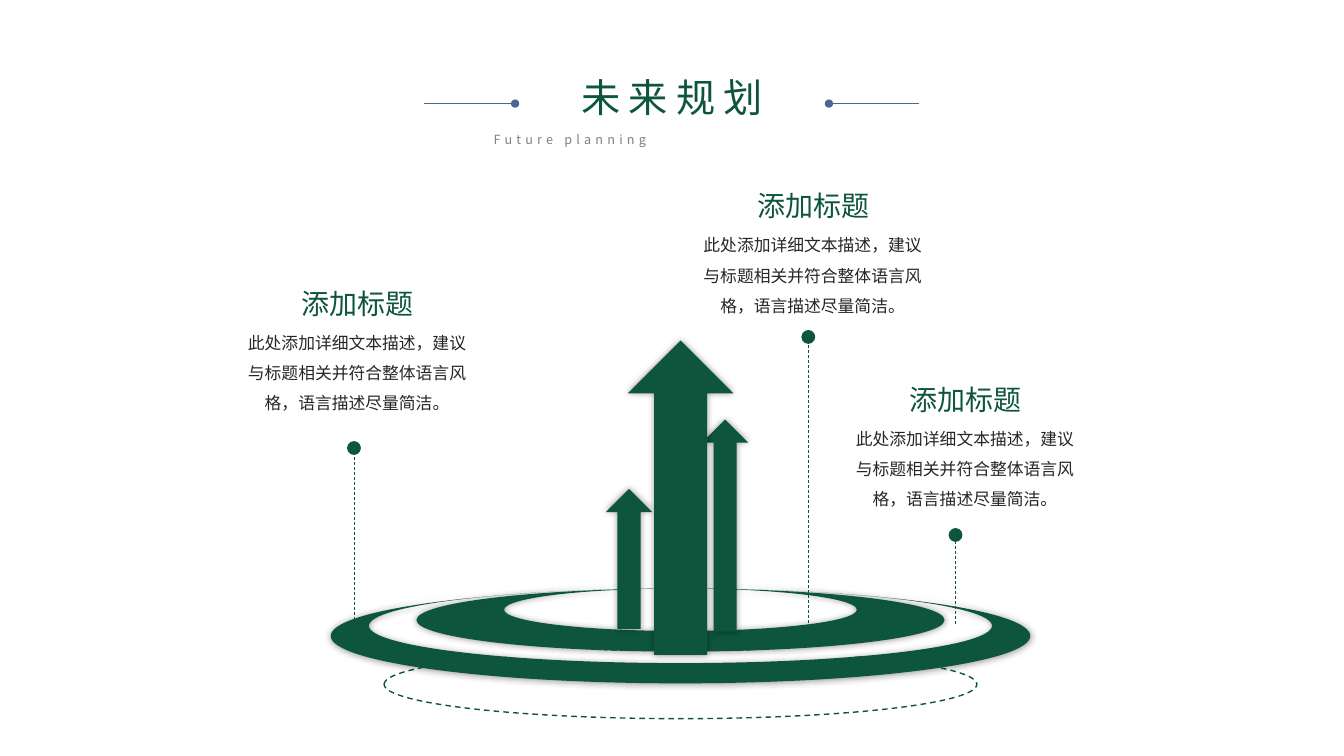
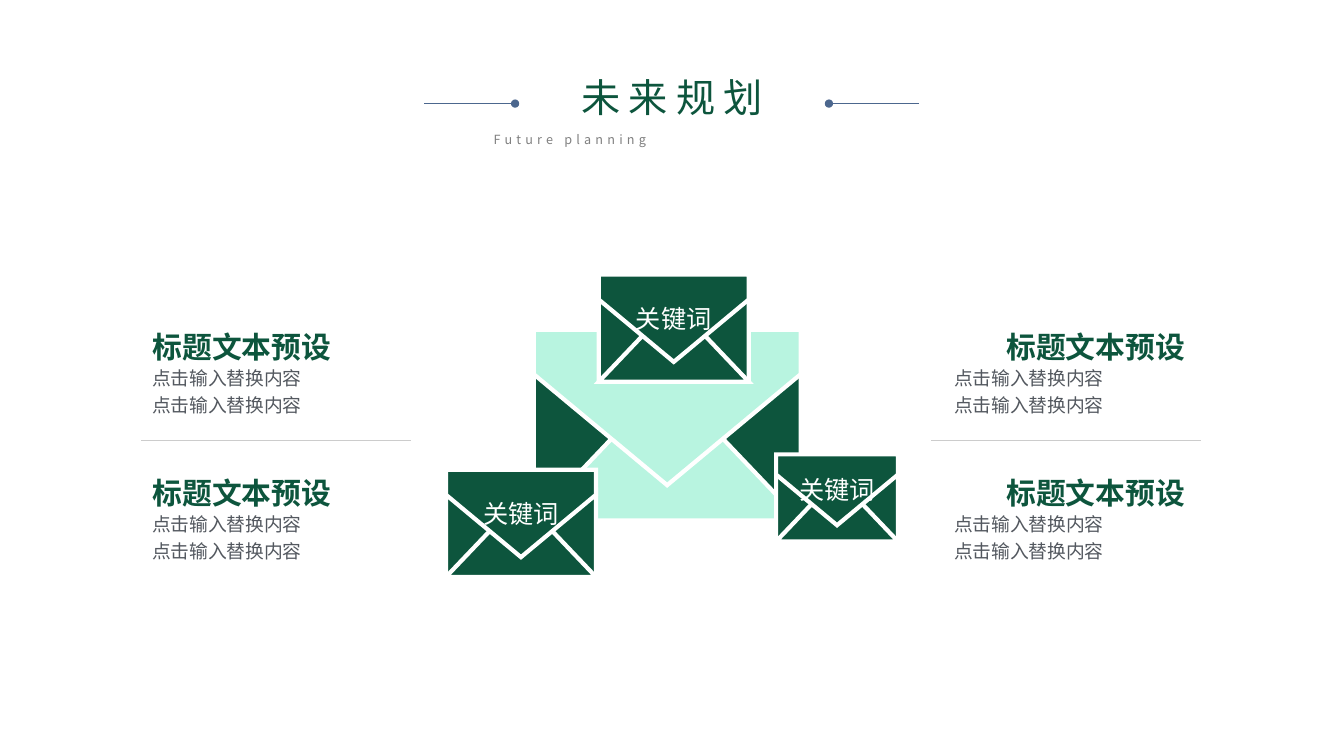
from lxml import etree
from pptx import Presentation
from pptx.dml.color import RGBColor
from pptx.enum.dml import MSO_LINE
from pptx.enum.shapes import MSO_CONNECTOR, MSO_SHAPE
from pptx.enum.text import MSO_ANCHOR, PP_ALIGN
from pptx.oxml.ns import qn
from pptx.util import Cm, Pt

FONT = "Noto Sans CJK SC"
COLORS = {
    "green": "0D553D",
    "mint": "B8F4E0",
    "white": "FFFFFF",
    "blue": "4C678E",
    "grey": "808080",
    "ink": "262626",
    "slate": "53585F",
    "rule": "CCCCCC",
    "shadow": "000000",
}
LEFT, CENTER, RIGHT = PP_ALIGN.LEFT, PP_ALIGN.CENTER, PP_ALIGN.RIGHT
JUSTIFY = PP_ALIGN.JUSTIFY
DASH = MSO_LINE.DASH
STRAIGHT = MSO_CONNECTOR.STRAIGHT
ELLIPSE, UP_ARROW = MSO_SHAPE.OVAL, MSO_SHAPE.UP_ARROW
CORNER, TRIANGLE = MSO_SHAPE.RIGHT_TRIANGLE, MSO_SHAPE.ISOSCELES_TRIANGLE

DESCRIPTION = "此处添加详细文本描述，建议与标题相关并符合整体语言风格，语言描述尽量简洁。"
CALLOUTS = [(5.9, 7.11), (21.22, 9.54), (17.38, 4.66)]
STEMS = [(8.92, 16, 11.29), (24.08, 15.72, 13.48), (20.37, 16.08, 8.49)]
ARROWS = [
    (17.69, 10.57, 1.17, 5.35),
    (15.27, 12.32, 1.17, 3.53),
    (15.82, 8.58, 2.67, 7.92),
]
RING_X, RING_TOP = 17.15, 14.83
RING_SIZES = [(17.63, 2.39), (15.7, 1.88), (13.31, 1.59), (8.89, 1.07)]
SLIVERS = [
    (0.37, 14.83), (0.43, 14.83), (0.1, 14.84), (0.32, 14.84),
    (0.1, 14.86), (0.32, 14.86), (0.09, 14.88), (0.29, 14.89),
    (0.1, 14.92), (0.23, 14.93), (0.18, 14.96), (0.06, 14.99),
]
KAPPA = 0.5523
SMALL_ENVELOPES = [(11.24, 11.84, 3.78), (19.56, 11.45, 3.07), (15.09, 6.92, 3.78)]


def rgb(name):
    return RGBColor.from_string(COLORS[name])


def set_text(tf, lines, size, color, align=LEFT, bold=False, spacing=None, tracking=0):
    for i, line in enumerate(lines):
        p = tf.paragraphs[0] if i == 0 else tf.add_paragraph()
        p.text = line
        p.alignment = align
        p.line_spacing = spacing
        p.font.size = Pt(size)
        p.font.bold = bold
        p.font.color.rgb = rgb(color)
        p.font.name = FONT
        props = p._p.pPr.find(qn("a:defRPr"))
        etree.SubElement(props, qn("a:ea"), typeface=FONT)
        if tracking:
            props.set("spc", str(tracking * 100))


def add_text(s, box, lines, size, color, inset=(0, 0), **style):
    tf = s.shapes.add_textbox(*map(Cm, box)).text_frame
    tf.word_wrap = True
    tf.margin_left = tf.margin_right = Cm(inset[0])
    tf.margin_top = tf.margin_bottom = Cm(inset[1])
    set_text(tf, lines, size, color, **style)


def add_line(s, start, end, color, dash=None, dot=None):
    line = s.shapes.add_connector(STRAIGHT, *map(Cm, (*start, *end)))
    line.line.color.rgb = rgb(color)
    line.line.width = Pt(0.5)
    if dash:
        line.line.dash_style = dash
    if dot:
        etree.SubElement(line.line._get_or_add_ln(), qn("a:tailEnd"),
                         type="oval", w=dot, len=dot)
    etree.SubElement(line._element.spPr, qn("a:effectLst"))


def paint(shape, fill=None, line=None, width=1, dash=None, shadow=False):
    if fill:
        shape.fill.solid()
        shape.fill.fore_color.rgb = rgb(fill)
    else:
        shape.fill.background()
    if line:
        shape.line.color.rgb = rgb(line)
        shape.line.width = Pt(width)
        if dash:
            shape.line.dash_style = dash
        etree.SubElement(shape.line._get_or_add_ln(), qn("a:miter"), lim="800000")
    else:
        shape.line.fill.background()
    shape.shadow.inherit = False
    if shadow:
        effects = shape._element.spPr.find(qn("a:effectLst"))
        outer = etree.SubElement(effects, qn("a:outerShdw"), blurRad=str(Pt(5)),
                                 dist="0", dir="0", algn="ctr", rotWithShape="0")
        tone = etree.SubElement(outer, qn("a:srgbClr"), val=COLORS["shadow"])
        etree.SubElement(tone, qn("a:alpha"), val="40000")


def add_shape(s, kind, box, **look):
    shape = s.shapes.add_shape(kind, *map(Cm, box))
    paint(shape, **look)
    return shape


def add_outline(s, points, **look):
    points = [(Cm(x), Cm(y)) for x, y in points]
    builder = s.shapes.build_freeform(*points[0], scale=1.0)
    builder.add_line_segments(points[1:], close=True)
    shape = builder.convert_to_shape()
    paint(shape, **look)
    return shape


def ellipse_curves(size, direction):
    rx, ry = size[0] / 2, size[1] / 2
    curves = []
    ux, uy, vx, vy = 0, -1, direction, 0
    for _ in range(4):
        unit = [(ux + KAPPA * vx, uy + KAPPA * vy),
                (vx + KAPPA * ux, vy + KAPPA * uy), (vx, vy)]
        curves.append([(rx * x, ry * (1 + y)) for x, y in unit])
        ux, uy, vx, vy = vx, vy, -ux, -uy
    return curves


def add_ring(s, outer, inner, **look):
    w, h = outer
    left, right, bottom = RING_X - w / 2, RING_X + w / 2, RING_TOP + h
    ring = add_outline(s, [(RING_X, RING_TOP), (right, RING_TOP), (right, bottom),
                           (left, bottom), (left, RING_TOP)], **look)
    outline = next(ring._element.iter(qn("a:moveTo"))).getparent()
    for segment in list(outline)[1:]:
        outline.remove(segment)
    for curve in ellipse_curves(outer, 1) + ellipse_curves(inner, -1):
        segment = etree.SubElement(outline, qn("a:cubicBezTo"))
        for x, y in curve:
            etree.SubElement(segment, qn("a:pt"), x=str(Cm(w / 2 + x)), y=str(Cm(y)))
    etree.SubElement(outline, qn("a:close"))


def add_slivers(s):
    for half, top in SLIVERS:
        for side in (-half, half):
            add_outline(s, [(RING_X + side, top), (RING_X - side / 2, top + 0.02),
                            (RING_X - side, top + 0.02)], fill="green")


def add_callout(s, x, y):
    add_text(s, (x + 0.02, y, 6.2, 1.07), ["添加标题"], 20, "green",
             inset=(0.2, 0.1), align=CENTER)
    add_text(s, (x, y + 0.88, 6.2, 2.57), [DESCRIPTION], 12, "ink",
             inset=(0.25, 0.13), align=CENTER, spacing=1.5)


def add_envelope(s, x, y, w, front="green", label=None):
    h = w * 0.714
    side_w, side_h, front_h = w * 0.865, h * 0.8, h * 0.735
    edge = {"line": "white", "width": 3}
    bottom = y + h
    add_shape(s, CORNER, (x, bottom - side_h, side_w, side_h), fill="green", **edge)
    right = add_shape(s, CORNER, (x + w - side_w, bottom - side_h, side_w, side_h),
                      fill="green", **edge)
    right._element.spPr.xfrm.set("flipH", "1")
    add_shape(s, TRIANGLE, (x, bottom - front_h, w, front_h), fill=front, **edge)
    shoulder, tip = y + h * 0.233, y + h * 0.815
    flap = add_outline(s, [(x, y), (x + w, y), (x + w, shoulder),
                           (x + w / 2, tip), (x, shoulder)], fill=front, **edge)
    if label:
        tf = flap.text_frame
        tf.word_wrap = False
        tf.vertical_anchor = MSO_ANCHOR.MIDDLE
        set_text(tf, [label], 18, "white", align=CENTER)


def add_panel(s, head_x, body_x, body_w, rule_x, align):
    for y in (8.28, 11.96):
        add_text(s, (body_x, y + 0.86, body_w, 1.42), ["点击输入替换内容"] * 2,
                 13.33, "slate", spacing=1.2)
        add_text(s, (head_x, y, 7.26, 0.86), ["标题文本预设"], 21.33, "green",
                 align=align, bold=True)
    add_line(s, (rule_x, 11.1), (rule_x + 6.8, 11.1), "rule")


def new_slide(prs):
    s = prs.slides.add_slide(prs.slide_layouts[6])
    add_text(s, (12.19, 3.19, 9.5, 0.64), ["Future planning"], 9, "grey",
             inset=(0.25, 0.13), align=JUSTIFY, tracking=3)
    add_text(s, (13.11, 1.73, 7.65, 1.45), ["未来规划"], 28, "green",
             inset=(0.25, 0.13), align=CENTER, tracking=6)
    for start, end in ((10.69, 12.98), (23.16, 20.89)):
        add_line(s, (start, 2.61), (end, 2.61), "blue", dot="med")
    return s


def growth_slide(prs):
    s = new_slide(prs)
    add_shape(s, ELLIPSE, (9.68, 16.38, 14.94, 1.73), line="green", dash=DASH)
    outer, middle, inner, hole = RING_SIZES
    add_ring(s, middle, inner, fill="white")
    add_ring(s, inner, hole, fill="green", shadow=True)
    add_slivers(s)
    add_ring(s, outer, middle, fill="green", shadow=True)
    for x, foot, top in STEMS:
        add_line(s, (x, foot), (x, top), "green", dash=DASH, dot="lg")
    for box in ARROWS:
        add_shape(s, UP_ARROW, box, fill="green", shadow=True)
    for x, y in CALLOUTS:
        add_callout(s, x, y)


def envelope_slide(prs):
    s = new_slide(prs)
    add_envelope(s, 13.45, 8.31, 6.73, front="mint")
    for x, y, w in SMALL_ENVELOPES:
        add_envelope(s, x, y, w, label="关键词")
    add_panel(s, 22.62, 24.05, 5.82, 23.47, RIGHT)
    add_panel(s, 3.84, 3.84, 7.26, 3.56, LEFT)


def main():
    prs = Presentation()
    prs.slide_width, prs.slide_height = Cm(33.87), Cm(19.05)
    growth_slide(prs)
    envelope_slide(prs)
    prs.save("out.pptx")


if __name__ == "__main__":
    main()
